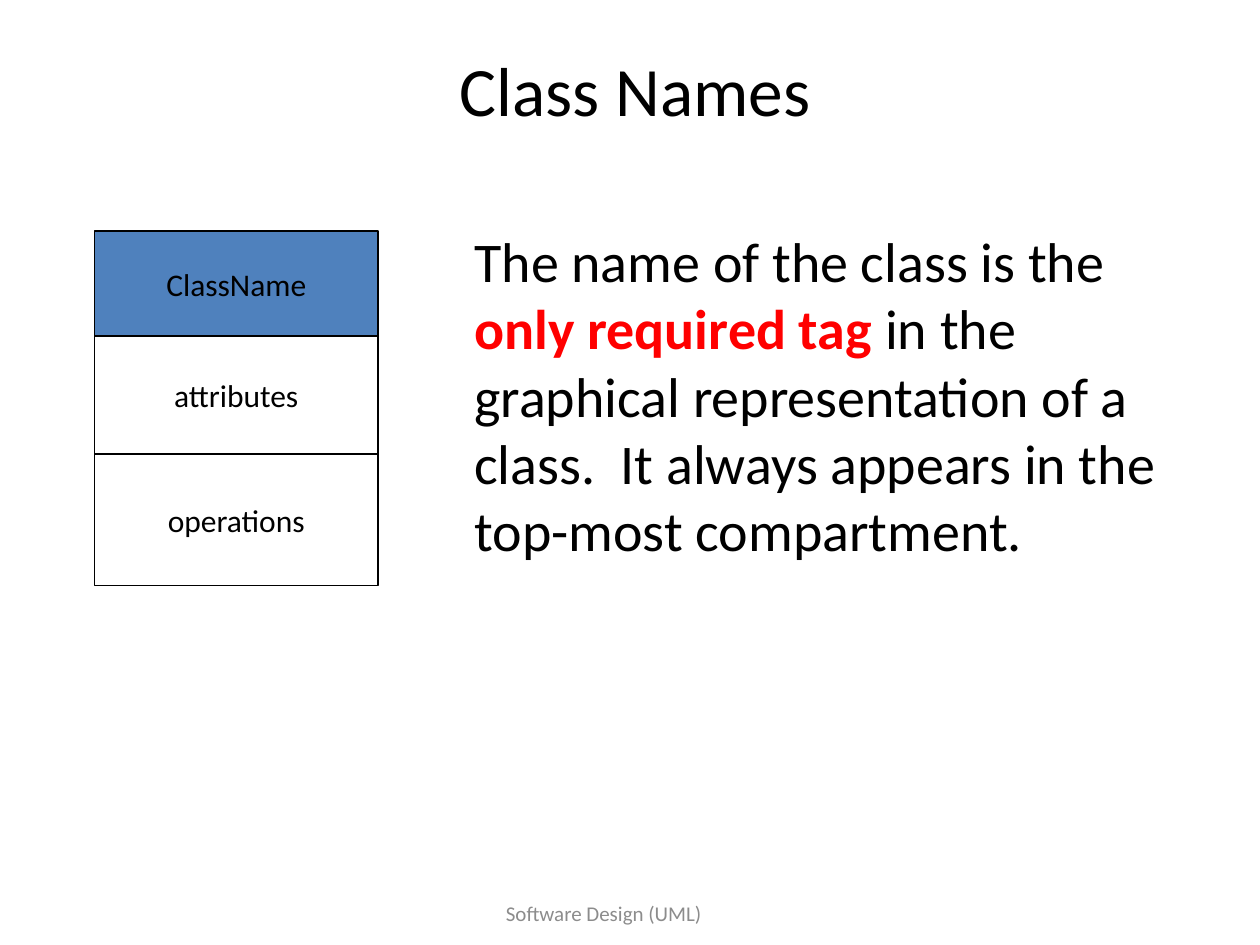
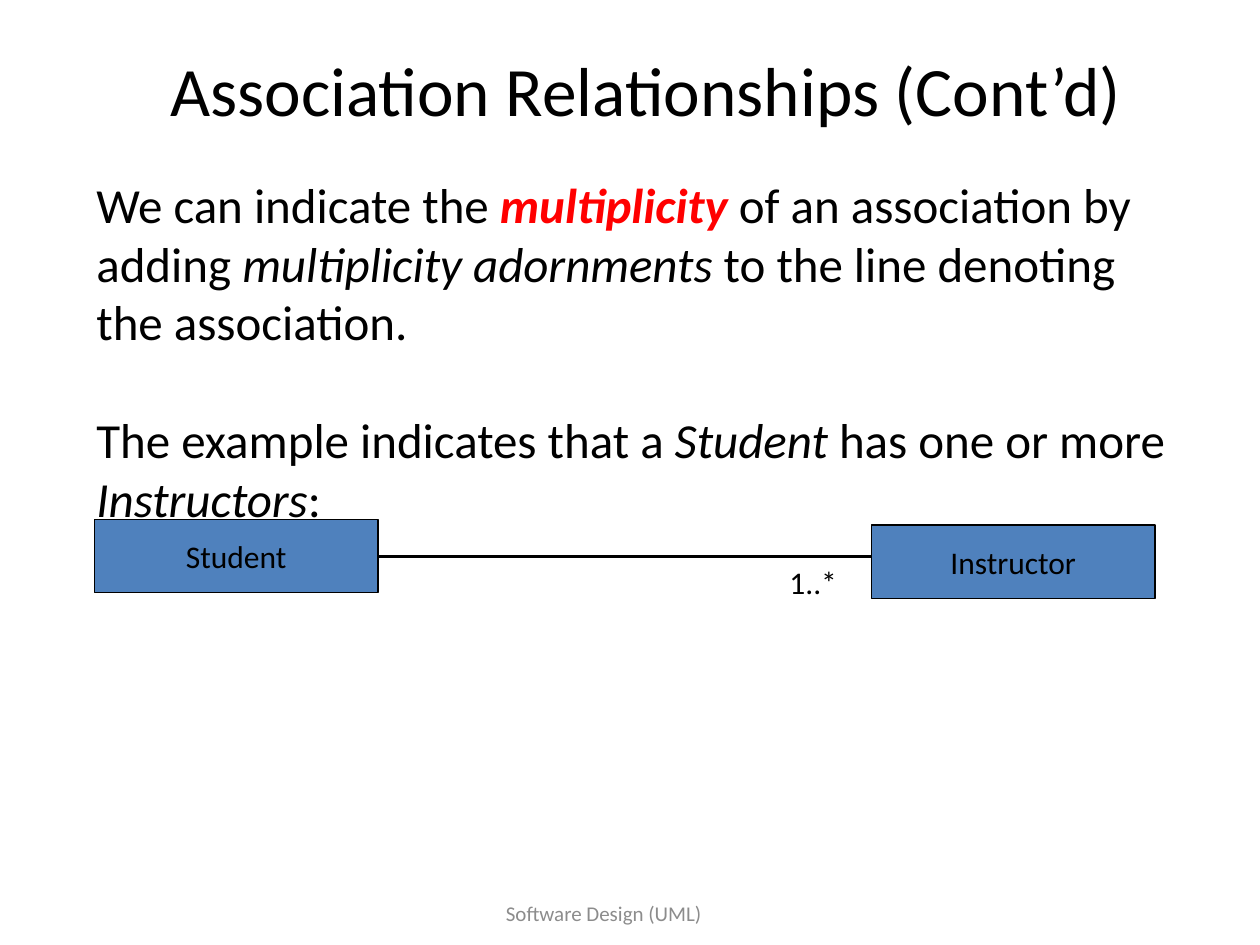
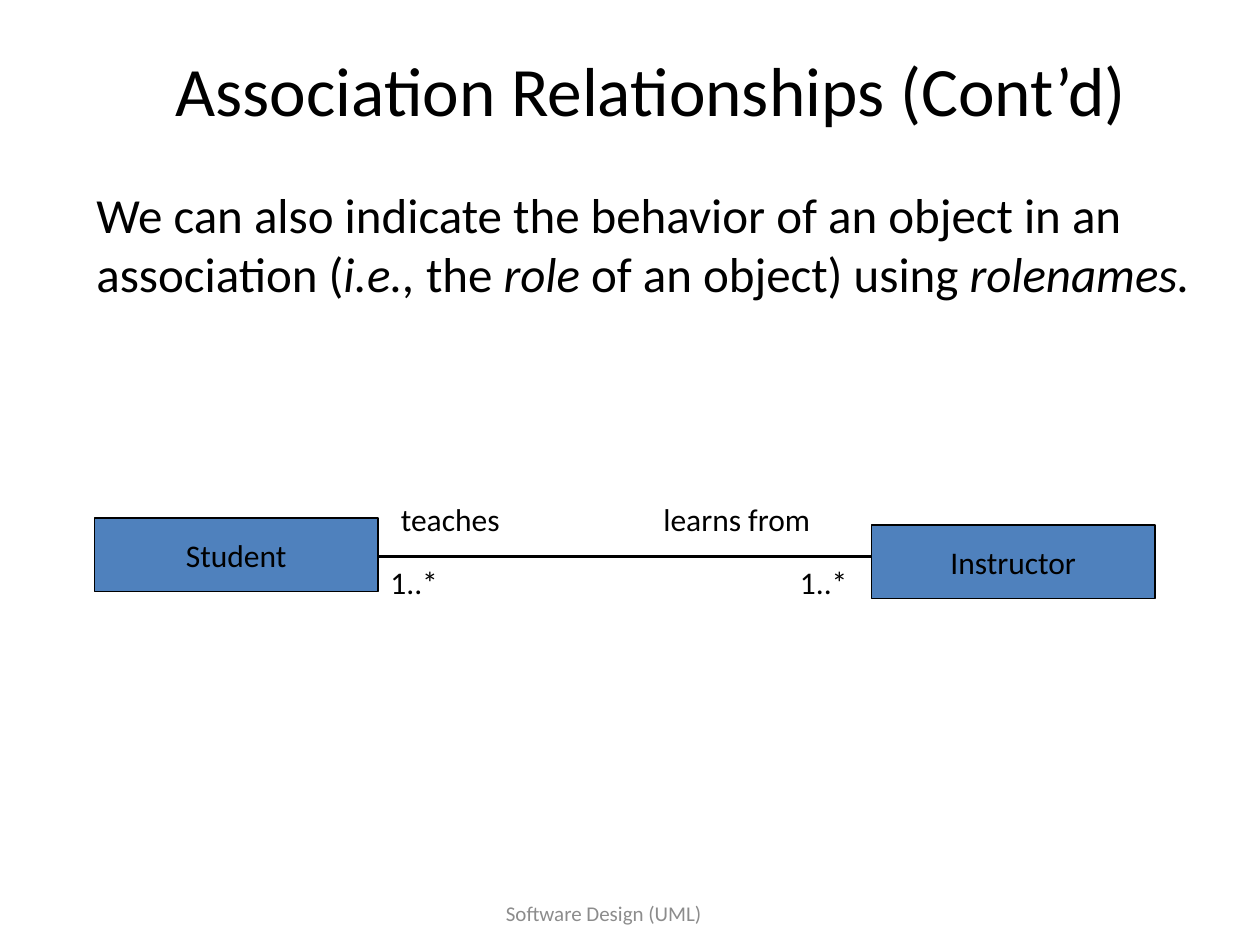
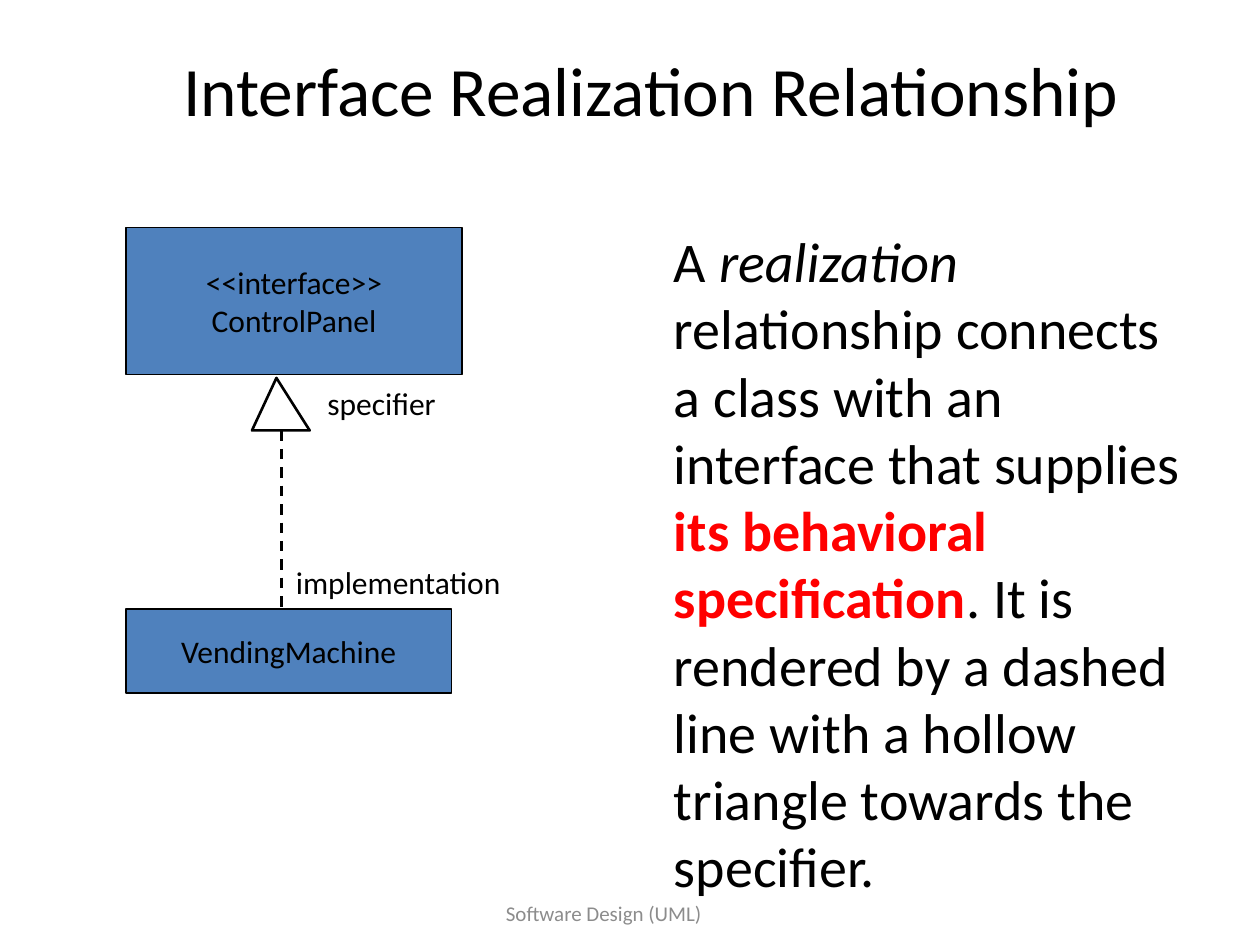
"""Build four slides on UML class names, associations and interface realization."""
from lxml.etree import SubElement
from pptx import Presentation
from pptx.dml.color import RGBColor
from pptx.enum.dml import MSO_LINE
from pptx.enum.shapes import MSO_CONNECTOR, MSO_SHAPE
from pptx.enum.text import MSO_ANCHOR, MSO_AUTO_SIZE, PP_ALIGN
from pptx.oxml.ns import qn
from pptx.util import Pt

BLACK = RGBColor(0x00, 0x00, 0x00)
WHITE = RGBColor(0xFF, 0xFF, 0xFF)
BLUE = RGBColor(0x4F, 0x81, 0xBD)
RED = RGBColor(0xFF, 0x00, 0x00)
GRAY = RGBColor(0x8C, 0x8C, 0x8C)
FONT = "Calibri"
LABEL_SIZE = 18
TITLE_TOP, TITLE_HEIGHT = 30, 42
CLASS_LEFT, CLASS_WIDTH = 54, 162


def add_block(slide, bounds, paragraphs, size=LABEL_SIZE, fill=None, color=BLACK, gap=0):
    """Add a text box, or a bordered box when a fill is given; bold runs are red."""
    left, top, width, height = [Pt(length) for length in bounds]
    if fill is None:
        shape = slide.shapes.add_textbox(left, top, width, height)
    else:
        shape = slide.shapes.add_shape(MSO_SHAPE.RECTANGLE, left, top, width, height)
        shape.shadow.inherit = False
        shape.fill.solid()
        shape.fill.fore_color.rgb = fill
        shape.line.color.rgb = BLACK
        shape.line.width = Pt(0.75)
    text_frame = shape.text_frame
    text_frame.word_wrap = fill is None
    text_frame.auto_size = MSO_AUTO_SIZE.NONE
    text_frame.vertical_anchor = MSO_ANCHOR.TOP if fill is None else MSO_ANCHOR.MIDDLE
    for index, runs in enumerate(paragraphs):
        paragraph = text_frame.add_paragraph() if index else text_frame.paragraphs[0]
        paragraph.alignment = PP_ALIGN.LEFT if fill is None else PP_ALIGN.CENTER
        if index and gap:
            paragraph.space_before = Pt(gap)
        for text, style in runs:
            run = paragraph.add_run()
            run.text = text
            run.font.name = FONT
            run.font.size = Pt(size)
            run.font.bold = "b" in style
            run.font.italic = "i" in style
            run.font.color.rgb = RED if "b" in style else color
    return shape


def add_line(slide, start, end, width):
    """Add a plain black line without a shadow."""
    points = [Pt(length) for length in (*start, *end)]
    line = slide.shapes.add_connector(MSO_CONNECTOR.STRAIGHT, *points)
    line.line.color.rgb = BLACK
    line.line.width = Pt(width)
    SubElement(line._element.spPr, qn("a:effectLst"))
    return line


presentation = Presentation()
presentation.slide_width = Pt(720)
presentation.slide_height = Pt(540)

titles = [
    ("Class Names", 54, 618),
    ("Association Relationships (Cont’d)", 48, 642),
    ("Association Relationships (Cont’d)", 48, 648),
    ("Interface Realization Relationship", 54, 636),
]
slides = []
for text, left, width in titles:
    slide = presentation.slides.add_slide(presentation.slide_layouts[5])
    title = slide.shapes.title
    title.left, title.top = Pt(left), Pt(TITLE_TOP)
    title.width, title.height = Pt(width), Pt(TITLE_HEIGHT)
    title.text_frame.text = text
    title.text_frame.auto_size = MSO_AUTO_SIZE.NONE
    title.text_frame.vertical_anchor = MSO_ANCHOR.MIDDLE
    paragraph = title.text_frame.paragraphs[0]
    paragraph.alignment = PP_ALIGN.CENTER
    font = paragraph.runs[0].font
    font.name, font.size = FONT, Pt(39.6)
    font.color.rgb = BLACK
    footer = add_block(slide, (186, 504, 318, 36), [[("Software Design (UML)", "")]], 12, color=GRAY)
    footer.text_frame.vertical_anchor = MSO_ANCHOR.MIDDLE
    footer.text_frame.paragraphs[0].alignment = PP_ALIGN.CENTER
    slides.append(slide)
names_slide, multiplicity_slide, roles_slide, realization_slide = slides

top = 132
for name, height, fill in [("ClassName", 60, BLUE), ("attributes", 67.5, WHITE), ("operations", 75, WHITE)]:
    add_block(names_slide, (CLASS_LEFT, top, CLASS_WIDTH, height), [[(name, "")]], fill=fill)
    top += height
add_block(names_slide, (264, 126, 432, 201), [[
    ("The name of the class is the ", ""),
    ("only required tag ", "b"),
    ("in the graphical representation of a class.  It always appears in the top-most compartment.", ""),
]], 32)

multiplicity_text = [
    [
        ("We can indicate the ", ""),
        ("multiplicity", "bi"),
        (" of an association by adding ", ""),
        ("multiplicity adornments", "i"),
        (" to the line denoting the association.", ""),
    ],
    [
        ("The example indicates that a ", ""),
        ("Student", "i"),
        (" has one or more ", ""),
        ("Instructors", "i"),
        (":", ""),
    ],
]
roles_text = [[
    ("We can also indicate the behavior of an object in an association (", ""),
    ("i.e.,", "i"),
    (" the ", ""),
    ("role ", "i"),
    ("of an object) using ", ""),
    ("rolenames.", "i"),
]]
multiplicity_labels = [("1..*", 444, 318, 54)]
role_labels = [
    ("1..*", 450, 318, 54),
    ("1..*", 216, 318, 54),
    ("learns from", 372, 282, 126),
    ("teaches", 222, 282, 90),
]
associations = [
    (multiplicity_slide, multiplicity_text, 96, 211, 296.8, multiplicity_labels),
    (roles_slide, roles_text, 102, 109, 296, role_labels),
]
for slide, body, body_top, body_height, student_top, labels in associations:
    add_block(slide, (48, body_top, 639, body_height), body, 28, gap=33.6)
    add_line(slide, (216, 318), (504, 318), 2.25)
    add_block(slide, (498, 300, CLASS_WIDTH, 42), [[("Instructor", "")]], fill=BLUE)
    add_block(slide, (CLASS_LEFT, student_top, CLASS_WIDTH, 42), [[("Student", "")]], fill=BLUE)
    for text, left, top, width in labels:
        add_block(slide, (left, top, width, 36), [[(text, "")]])

add_block(realization_slide, (72, 130, 192, 84), [[("<<interface>>", "")], [("ControlPanel", "")]], fill=BLUE)
add_block(realization_slide, (72, 348, 186, 48), [[("VendingMachine", "")]], fill=BLUE)
dashed_line = add_line(realization_slide, (161, 246), (161, 348), 1.5)
dashed_line.line.dash_style = MSO_LINE.DASH
builder = realization_slide.shapes.build_freeform(Pt(158), Pt(216))
builder.add_line_segments([(Pt(144), Pt(246)), (Pt(177), Pt(246))], close=True)
triangle = builder.convert_to_shape()
triangle.shadow.inherit = False
triangle.fill.solid()
triangle.fill.fore_color.rgb = WHITE
triangle.line.color.rgb = BLACK
triangle.line.width = Pt(1.5)
add_block(realization_slide, (378, 126, 312, 395), [[
    ("A ", ""),
    ("realization", "i"),
    (" relationship connects a class with an interface that supplies ", ""),
    ("its behavioral specification", "b"),
    (". It is rendered by a dashed line with a hollow triangle towards the specifier.", ""),
]], 32)
add_block(realization_slide, (180, 216, 78, 29), [[("specifier", "")]])
add_block(realization_slide, (162, 318, 132, 29), [[("implementation", "")]])

presentation.save("out.pptx")
